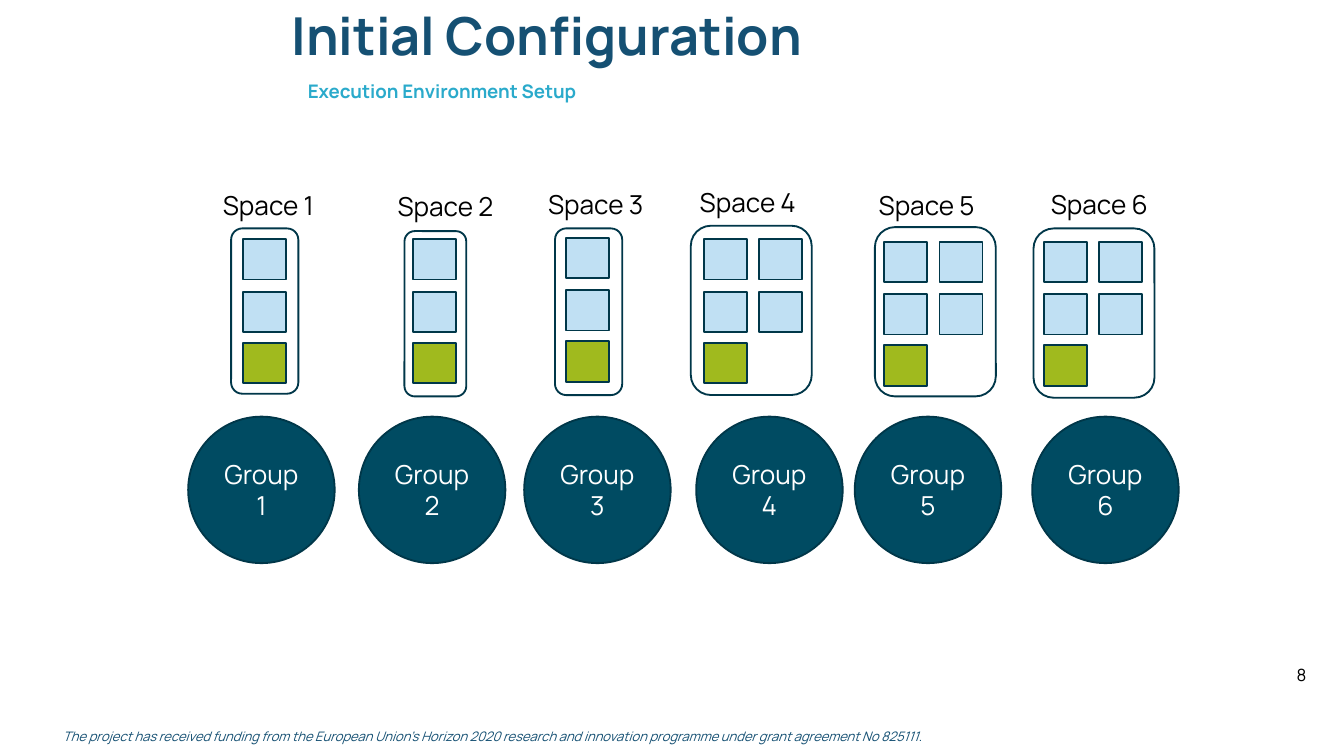
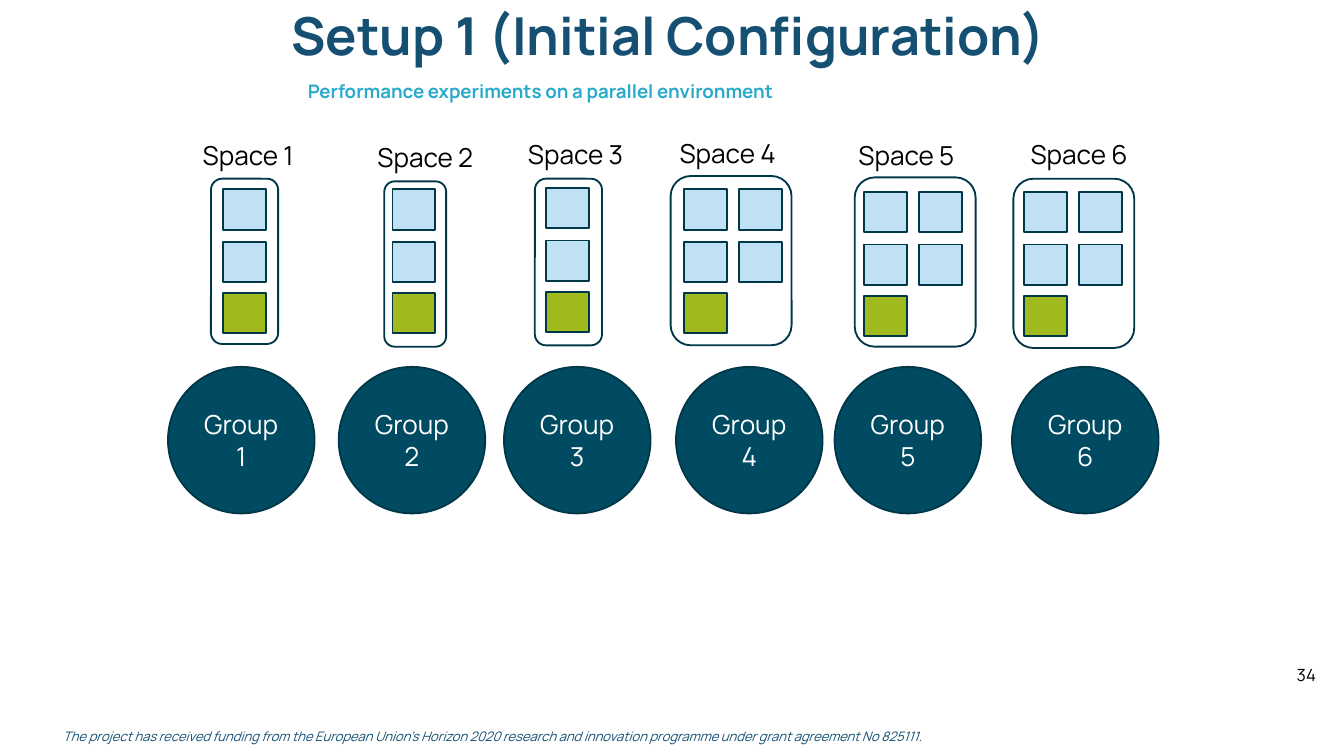
from pptx import Presentation
from pptx.dml.color import RGBColor
from pptx.enum import shapes, text as txt
from pptx.util import Inches, Pt

FONT = "Manrope"
NAVY, CYAN, BLACK, WHITE = "155073", "2AAACB", "000000", "FFFFFF"
EDGE, TEAL, SKY, GREEN = "003749", "004B62", "C0E0F3", "A0BA1E"
KIND = shapes.MSO_SHAPE
LEFT, MID = txt.PP_ALIGN.LEFT, txt.PP_ALIGN.CENTER
TOP, CENTER = txt.MSO_ANCHOR.TOP, txt.MSO_ANCHOR.MIDDLE


def write(shape, words, size=14, color=BLACK, bold=False, italic=False,
          align=LEFT, anchor=TOP, wrap=True, inset=0.1, line=1.0, before=0):
    """Append words to the first paragraph; a newline becomes a line break."""
    frame = shape.text_frame
    frame.auto_size = txt.MSO_AUTO_SIZE.NONE
    frame.word_wrap = wrap
    frame.vertical_anchor = anchor
    frame.margin_left = Inches(inset)
    para = frame.paragraphs[0]
    para.alignment = align
    para.line_spacing = line
    para.space_before = Pt(before)
    for i, part in enumerate(words.split("\n")):
        if i:
            para.add_line_break()
        run = para.add_run()
        run.text = part
        font = run.font
        font.name, font.size = FONT, Pt(size)
        font.bold, font.italic = bold, italic
        font.color.rgb = RGBColor.from_string(color)


def draw(slide, kind, x, y, w, h, fill=None):
    """Add a preset shape with the common outline, hollow without a fill."""
    shape = slide.shapes.add_shape(kind, Inches(x), Inches(y), Inches(w), Inches(h))
    shape.shadow.inherit = False
    if fill:
        shape.fill.solid()
        shape.fill.fore_color.rgb = RGBColor.from_string(fill)
    else:
        shape.fill.background()
    shape.line.color.rgb = RGBColor.from_string(EDGE)
    shape.line.width = Pt(1)
    return shape


# Label (x, y, w), frame (x, y, w, h), first cell (x, y), circle x, cell columns
SPACES = [
    ((1.56, 1.36, 0.91), (1.72, 1.70, 0.50, 1.23), (1.81, 1.78), 1.40, 1),
    ((2.86, 1.37, 0.92), (3.01, 1.72, 0.46, 1.23), (3.07, 1.78), 2.67, 1),
    ((3.98, 1.35, 0.93), (4.13, 1.70, 0.50, 1.24), (4.21, 1.77), 3.90, 1),
    ((5.10, 1.34, 0.93), (5.14, 1.68, 0.90, 1.26), (5.24, 1.78), 5.18, 2),
    ((6.43, 1.36, 0.93), (6.51, 1.69, 0.90, 1.26), (6.58, 1.80), 6.36, 2),
    ((7.71, 1.35, 0.94), (7.69, 1.70, 0.90, 1.26), (7.77, 1.80), 7.68, 2),
]
ROUND_Y, ROUND = 3.10, 1.09
CELL_W, CELL_H = 0.32, 0.30
STEP_X = 0.41
ROWS = (0, 0.39, 0.77)

# Title, subtitle, page number, shift of the whole diagram
SLIDES = [
    ("Initial Configuration", "Execution Environment Setup", "8", 0, 0),
    ("Setup 1 (Initial Configuration)",
     "Performance experiments on a parallel environment", "34", -0.15, -0.37),
]
FUNDING = ("The project has received funding from the European Union’s Horizon 2020 "
           "research and innovation programme under grant agreement No 825111")

deck = Presentation()
deck.slide_width, deck.slide_height = Inches(10), Inches(10 * 9 / 16)

for title, sub, page, dx, dy in SLIDES:
    slide = deck.slides.add_slide(deck.slide_layouts[0])

    heads = [
        (title, (2.17, 0.03, 5.97, 0.47), 28, NAVY),
        (sub, (2.29, 0.56, 4.55, 0.24), 10, CYAN),
    ]
    for holder, (words, area, size, color) in zip(slide.placeholders, heads):
        holder.left, holder.top, holder.width, holder.height = map(Inches, area)
        write(holder, words, size=size, color=color, bold=True,
              inset=0, line=0.9, before=10)

    number = slide.shapes.add_textbox(Inches(9.55), Inches(4.9), Inches(0.38), Inches(0.25))
    write(number, page, size=9)
    footer = slide.shapes.add_textbox(Inches(0.37), Inches(5.37), Inches(6.74), Inches(0.22))
    write(footer, FUNDING, size=7, color=NAVY, italic=True)
    write(footer, ".", size=7, color=NAVY)

    for n, (label, frame, cell, round_x, cols) in enumerate(SPACES, 1):
        x, y, w, h = frame
        draw(slide, KIND.ROUNDED_RECTANGLE, x + dx, y + dy, w, h)

        x, y = cell
        for drop in ROWS:
            last = drop == ROWS[-1]
            for col in range(1 if last else cols):
                draw(slide, KIND.RECTANGLE, x + dx + col * STEP_X, y + dy + drop,
                     CELL_W, CELL_H, GREEN if last else SKY)

        x, y, w = label
        name = slide.shapes.add_textbox(Inches(x + dx), Inches(y + dy),
                                        Inches(w), Inches(0.34))
        write(name, f"Space {n}", align=LEFT if cols == 1 else MID, wrap=False)

        group = draw(slide, KIND.OVAL, round_x + dx, ROUND_Y + dy, ROUND, ROUND, TEAL)
        write(group, f"Group\n{n}", color=WHITE, align=MID, anchor=CENTER, wrap=False)

deck.save("out.pptx")
